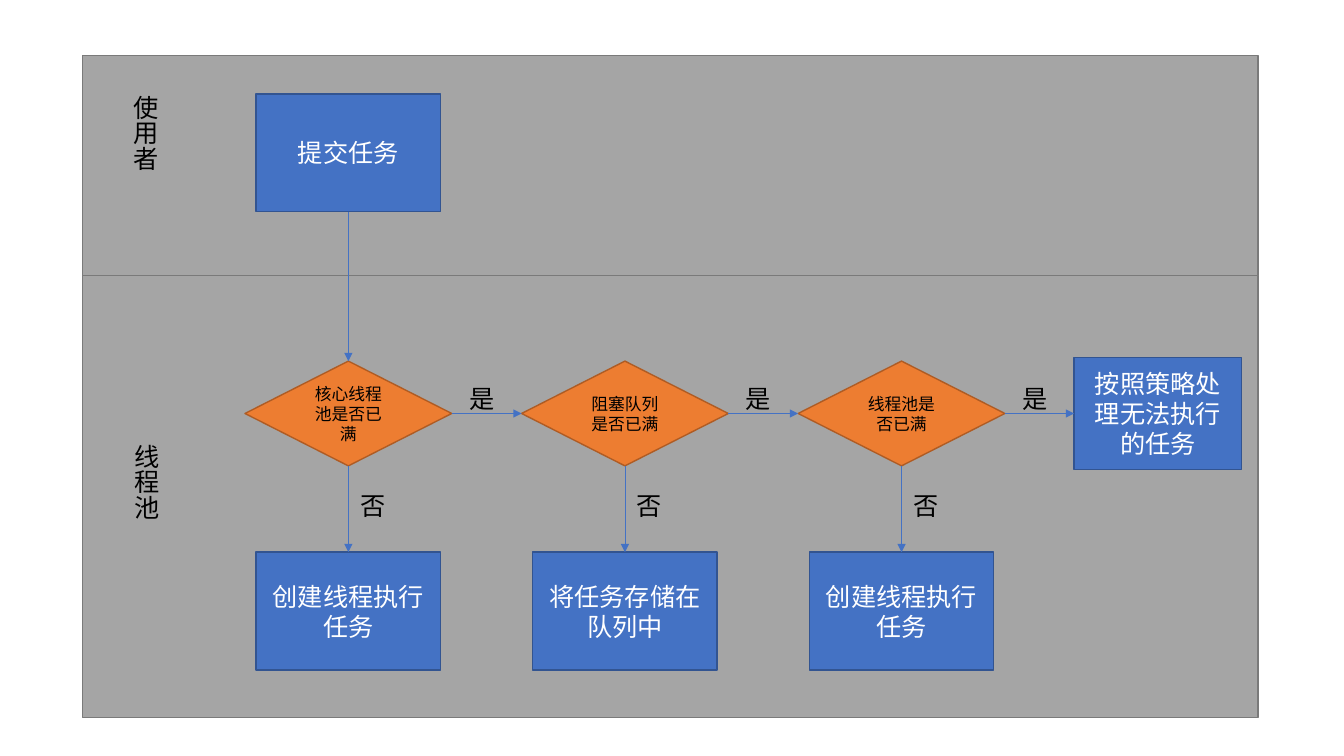
from lxml import etree
from pptx import Presentation
from pptx.dml.color import RGBColor
from pptx.enum.shapes import MSO_CONNECTOR, MSO_SHAPE
from pptx.enum.text import MSO_ANCHOR, MSO_AUTO_SIZE, PP_ALIGN
from pptx.oxml.ns import qn
from pptx.util import Cm, Pt

# Content
START = "提交任务"
STEPS = [  # question, action when the answer is no
    ("核心线程池是否已满", "创建线程执行任务"),
    ("阻塞队列是否已满", "将任务存储在队列中"),
    ("线程池是否已满", "创建线程执行任务"),
]
LAST = "按照策略处理无法执行的任务"
YES, NO = "是", "否"
LANES = [  # top, height
    (1.4, 5.55),
    (6.95, 11.13),
]
NAMES = [  # text, left, top, height
    ("使用者", 2.9, 2.16, 6.17),
    ("线程池", 2.93, 10.95, 4.44),
]

# Style
FONT = "Noto Sans CJK SC"
BLUE, NAVY = RGBColor(0x44, 0x72, 0xC4), RGBColor(0x32, 0x54, 0x91)
ORANGE, RUST = RGBColor(0xED, 0x7D, 0x31), RGBColor(0xAF, 0x5C, 0x24)
GREY, DARK = RGBColor(0xA5, 0xA5, 0xA5), RGBColor(0x7A, 0x7A, 0x7A)
BLACK, WHITE = RGBColor(0, 0, 0), RGBColor(0xFF, 0xFF, 0xFF)
RECT, DIAMOND = MSO_SHAPE.RECTANGLE, MSO_SHAPE.DIAMOND
STRAIGHT = MSO_CONNECTOR.STRAIGHT
MIDDLE, CENTER = MSO_ANCHOR.MIDDLE, PP_ALIGN.CENTER
GROW = MSO_AUTO_SIZE.SHAPE_TO_FIT_TEXT
TOP, LEFT, BOTTOM, RIGHT = range(4)  # connection sites

# Grid, in cm
LANE_X, LANE_W = 2.08, 29.62
COL, PITCH = 8.78, 6.97  # centre of first column, step between columns
START_Y, ASK_Y, ACT_Y = 3.85, 10.42, 15.4  # centres of rows
BOX, ASK, END = (4.65, 2.97), (5.21, 2.64), (4.22, 2.82)
END_X = 29.18

deck = Presentation()
deck.slide_width, deck.slide_height = Cm(33.87), Cm(19.05)
slide = deck.slides.add_slide(deck.slide_layouts[6])
shapes = slide.shapes


def write(shape, text, size, color):
    frame = shape.text_frame
    frame.word_wrap = True
    frame.text = text
    font = frame.paragraphs[0].runs[0].font
    font.size, font.name, font.color.rgb = Pt(size), FONT, color
    etree.SubElement(font._element, qn("a:ea"), typeface=FONT)


def block(kind, x, y, w, h, fill, edge):
    shape = shapes.add_shape(kind, Cm(x), Cm(y), Cm(w), Cm(h))
    shape.shadow.inherit = False
    shape.fill.solid()
    shape.fill.fore_color.rgb = fill
    shape.line.color.rgb, shape.line.width = edge, Pt(1)
    return shape


def node(text, x, y, dims, kind=RECT, fill=BLUE, edge=NAVY, size=18, color=WHITE):
    w, h = dims
    shape = block(kind, x - w / 2, y - h / 2, w, h, fill, edge)
    write(shape, text, size, color)
    shape.text_frame.vertical_anchor = MIDDLE
    shape.text_frame.paragraphs[0].alignment = CENTER
    return shape


def label(text, x, y, w, h, upright=False):
    box = shapes.add_textbox(Cm(x), Cm(y), Cm(w), Cm(h))
    write(box, text, 18, BLACK)
    box.text_frame.auto_size = GROW
    if upright:
        box.element.txBody.find(qn("a:bodyPr")).set("vert", "eaVert")


def arrow(src, out, dst, into):
    link = shapes.add_connector(STRAIGHT, 0, 0, 0, 0)
    link.begin_connect(src, out)
    link.end_connect(dst, into)
    link.line.color.rgb, link.line.width = BLUE, Pt(0.5)
    props = link.element.spPr
    etree.SubElement(props.find(qn("a:ln")), qn("a:tailEnd"), type="triangle")
    etree.SubElement(props, qn("a:effectLst"))


# Lanes and their names
for y, h in LANES:
    block(RECT, LANE_X, y, LANE_W, h, GREY, DARK)
for text, x, y, h in NAMES:
    label(text, x, y, 1.27, h, upright=True)

# Nodes
start = node(START, COL, START_Y, BOX)
cols = [COL + i * PITCH for i in range(len(STEPS))]
asks = [node(ask, x, ASK_Y, ASK, DIAMOND, ORANGE, RUST, 12, BLACK)
        for x, (ask, act) in zip(cols, STEPS)]
acts = [node(act, x, ACT_Y, BOX) for x, (ask, act) in zip(cols, STEPS)]
last = node(LAST, END_X, ASK_Y, END)

# Arrows and answers
arrow(start, BOTTOM, asks[0], TOP)
for x, ask, act, after in zip(cols, asks, acts, asks[1:] + [last]):
    arrow(ask, BOTTOM, act, TOP)
    arrow(ask, RIGHT, after, LEFT)
    label(YES, x + 2.8, 9.53, 1.75, 1.02)
    label(NO, x - 0.17, 12.17, 1.27, 1.4, upright=True)

deck.save("out.pptx")
